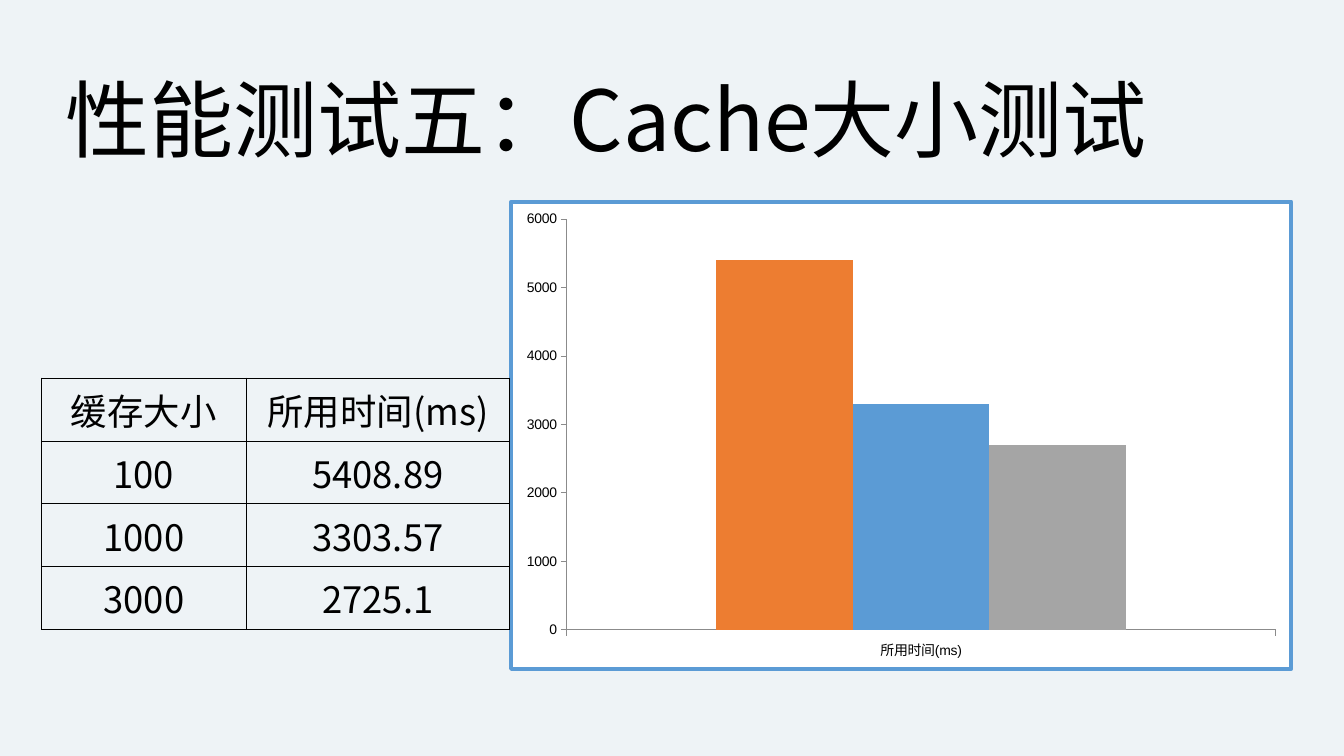
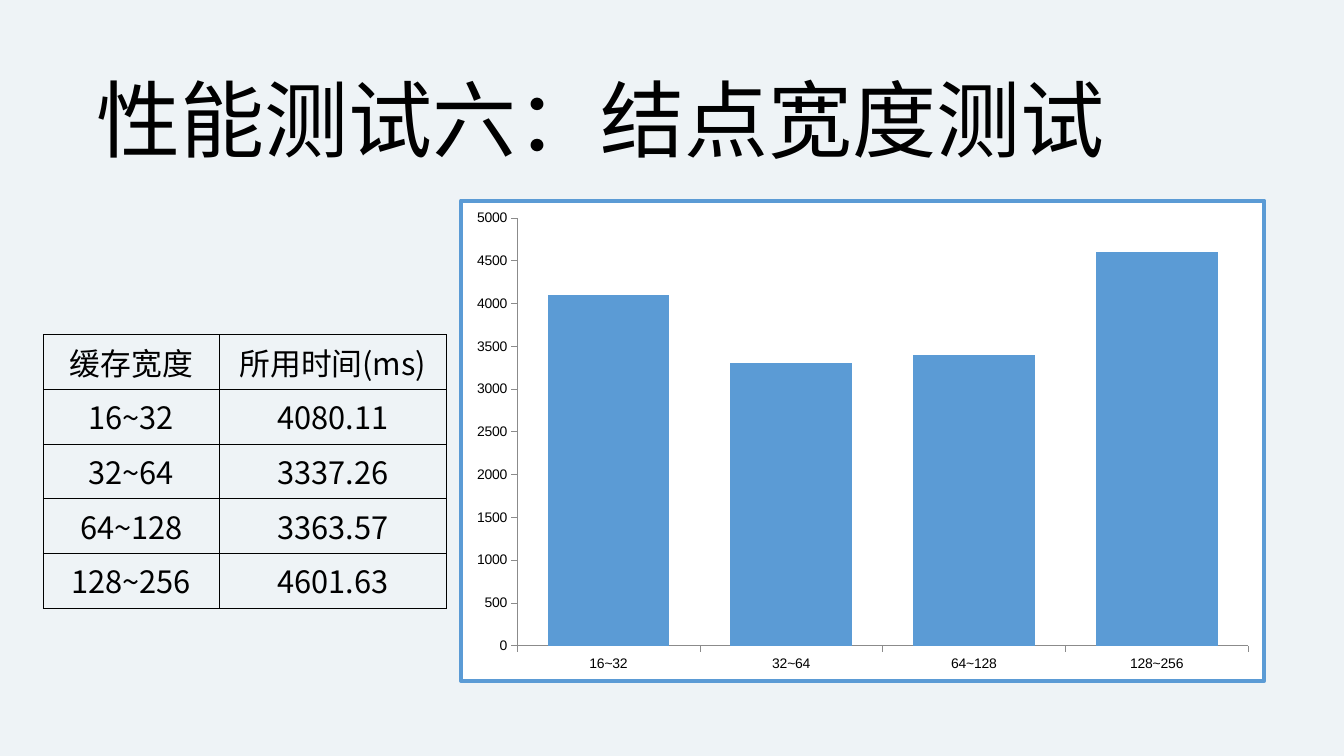
from dataclasses import dataclass

from pptx import Presentation
from pptx.chart import data as cd
from pptx.dml.color import RGBColor
from pptx.enum import chart as ch, text as tx
from pptx.oxml import parse_xml
from pptx.util import Pt

NS = ('xmlns:a="http://schemas.openxmlformats.org/drawingml/2006/main" '
      'xmlns:c="http://schemas.openxmlformats.org/drawingml/2006/chart"')
TITLE_ONLY = 5


@dataclass(frozen=True)
class Theme:
    back: str = "EEF3F6"
    ink: str = "000000"
    white: str = "FFFFFF"
    axis: str = "8B8B8B"
    blue: str = "5B9BD5"
    orange: str = "ED7D31"
    gray: str = "A5A5A5"
    font: str = "Noto Sans CJK SC"
    label: str = "Arial"
    title: int = 60
    small: int = 10


THEME = Theme()


def rgb(code):
    return RGBColor.from_string(code)


def near(ms):
    """Round a time to whole hundreds for the chart."""
    return round(float(ms) / 100) * 100


def put(frame, words, size, align=tx.PP_ALIGN.LEFT, color=THEME.ink, font=THEME.font):
    """Write one formatted line into a text frame."""
    par = frame.paragraphs[0]
    par.alignment = align
    run = par.add_run()
    run.text = words
    run.font.size = Pt(size)
    run.font.name = font
    run.font.color.rgb = rgb(color)
    run._r.get_or_add_rPr().append(parse_xml(f'<a:ea {NS} typeface="{font}"/>'))


def rule(cell, color, width=0.5):
    """Draw all four borders of a table cell."""
    props = cell._tc.get_or_add_tcPr()
    for at, side in enumerate("LRTB"):
        props.insert(at, parse_xml(
            f'<a:ln{side} {NS} w="{Pt(width)}"><a:solidFill>'
            f'<a:srgbClr val="{color}"/></a:solidFill></a:ln{side}>'))


class Deck:
    def __init__(self, theme):
        self.theme = theme
        self.prs = Presentation()
        self.prs.slide_width, self.prs.slide_height = Pt(960), Pt(540)
        fill = self.prs.slide_master.background.fill
        fill.solid()
        fill.fore_color.rgb = rgb(theme.back)
        self.slide = None

    def page(self, words, left, width):
        """Start a slide with its title."""
        self.slide = self.prs.slides.add_slide(self.prs.slide_layouts[TITLE_ONLY])
        box = self.slide.shapes.title
        box.left, box.top, box.width, box.height = Pt(left), Pt(44.6), Pt(width), Pt(79.2)
        frame = box.text_frame
        frame.word_wrap = False
        frame.auto_size = tx.MSO_AUTO_SIZE.NONE
        frame.vertical_anchor = tx.MSO_ANCHOR.MIDDLE
        put(frame, words, self.theme.title)

    def table(self, rows, left, top, cols, height, size):
        shape = self.slide.shapes.add_table(
            len(rows), len(cols), Pt(left), Pt(top), Pt(sum(cols)), Pt(height * len(rows)))
        grid = shape.table
        grid.first_row = grid.horz_banding = False
        for col, width in zip(grid.columns, cols):
            col.width = Pt(width)
        for r, row in enumerate(rows):
            grid.rows[r].height = Pt(height)
            for c, words in enumerate(row):
                cell = grid.cell(r, c)
                cell.fill.background()
                rule(cell, self.theme.ink)
                put(cell.text_frame, words, size, align=tx.PP_ALIGN.CENTER)

    def chart(self, cats, series, left, top, width, height, gap, peak, step):
        """Add columns; series holds (values, colour) pairs."""
        data = cd.CategoryChartData()
        data.categories = cats
        for n, (vals, _) in enumerate(series, 1):
            data.add_series(f"Series {n}", vals)
        chart = self.slide.shapes.add_chart(
            ch.XL_CHART_TYPE.COLUMN_CLUSTERED,
            Pt(left), Pt(top), Pt(width), Pt(height), data).chart
        chart.has_legend = chart.has_title = False
        chart.font.name = self.theme.label
        chart.font.size = Pt(self.theme.small)
        chart.font.color.rgb = rgb(self.theme.ink)
        plot = chart.plots[0]
        plot.gap_width, plot.overlap = gap, 0
        plot.vary_by_categories = False
        for bar, (_, color) in zip(plot.series, series):
            bar.format.fill.solid()
            bar.format.fill.fore_color.rgb = rgb(color)
        for axis in (chart.category_axis, chart.value_axis):
            axis.has_major_gridlines = False
            axis.major_tick_mark = ch.XL_TICK_MARK.OUTSIDE
            axis.format.line.color.rgb = rgb(self.theme.axis)
            axis.format.line.width = Pt(0.5)
        scale = chart.value_axis
        scale.minimum_scale, scale.maximum_scale, scale.major_unit = 0, peak, step
        self.frame(chart)

    def frame(self, chart):
        """Give the chart area its fill and border."""
        chart._chartSpace.chart.addnext(parse_xml(
            f'<c:spPr {NS}><a:solidFill><a:srgbClr val="{self.theme.white}"/></a:solidFill>'
            f'<a:ln w="{Pt(3)}"><a:solidFill><a:srgbClr val="{self.theme.blue}"/>'
            '</a:solidFill><a:round/></a:ln></c:spPr>'))


def main():
    deck = Deck(THEME)
    time = "所用时间(ms)"

    cache = [("100", "5408.89"), ("1000", "3303.57"), ("3000", "2725.1")]
    hues = THEME.orange, THEME.blue, THEME.gray
    deck.page("性能测试五：Cache大小测试", left=39.6, width=829.4)
    deck.chart([time], [([near(ms)], hue) for (_, ms), hue in zip(cache, hues)],
               left=363.6, top=142.6, width=560.2, height=336.6,
               gap=219, peak=6000, step=1000)
    deck.table([("缓存大小", time), *cache],
               left=29.6, top=270, cols=(146.4, 188), height=44.9, size=26)

    node = [("16~32", "4080.11"), ("32~64", "3337.26"),
            ("64~128", "3363.57"), ("128~256", "4601.63")]
    deck.page("性能测试六：结点宽度测试", left=61.9, width=740)
    deck.chart([span for span, _ in node], [([near(ms) for _, ms in node], THEME.blue)],
               left=327.8, top=141.8, width=576.7, height=346,
               gap=50, peak=5000, step=500)
    deck.table([("缓存宽度", time), *node],
               left=30.8, top=239, cols=(126, 162), height=39, size=22)

    deck.prs.save("out.pptx")


if __name__ == "__main__":
    main()
